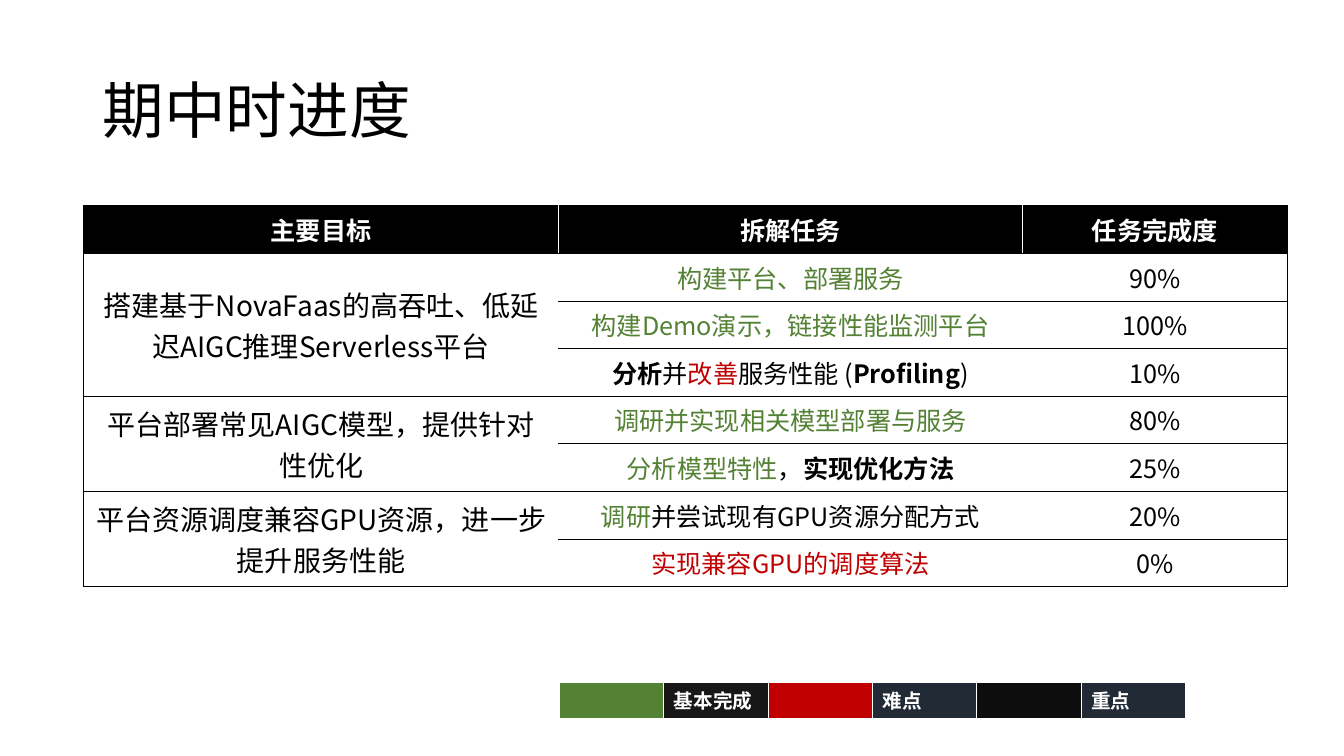
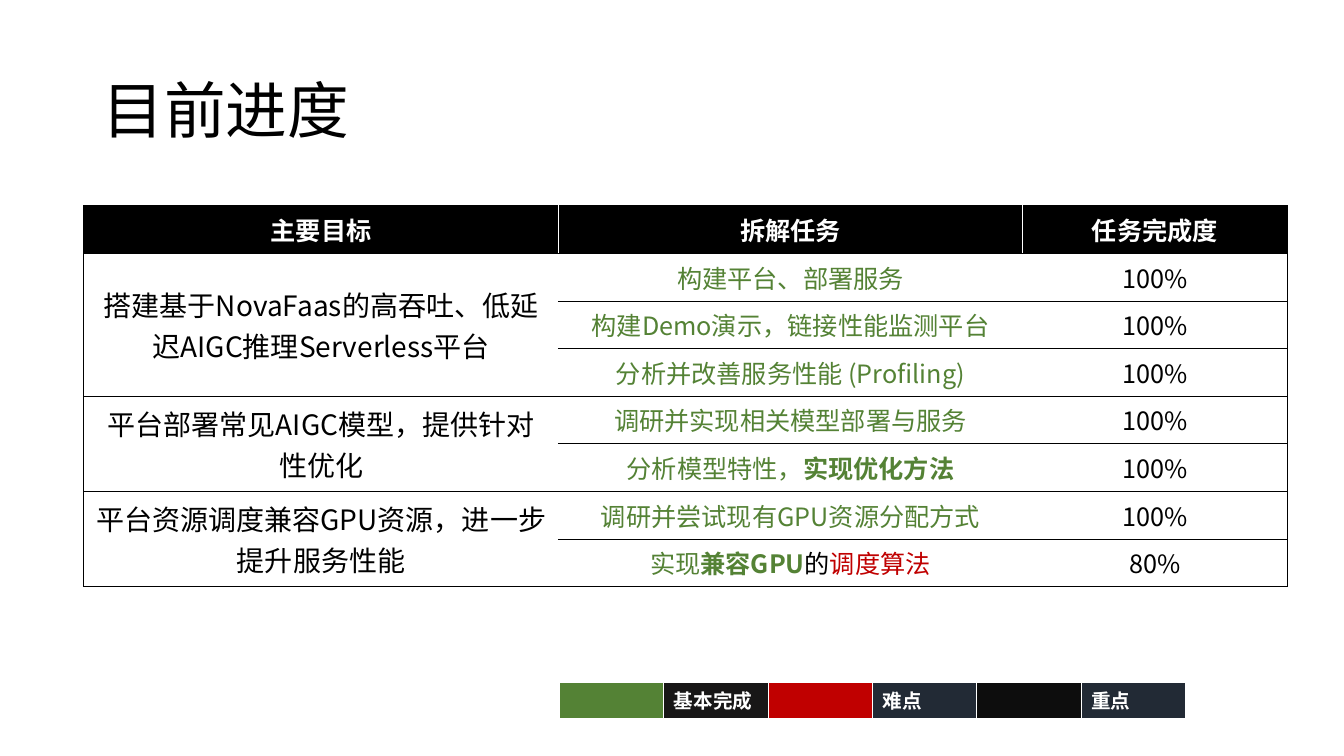
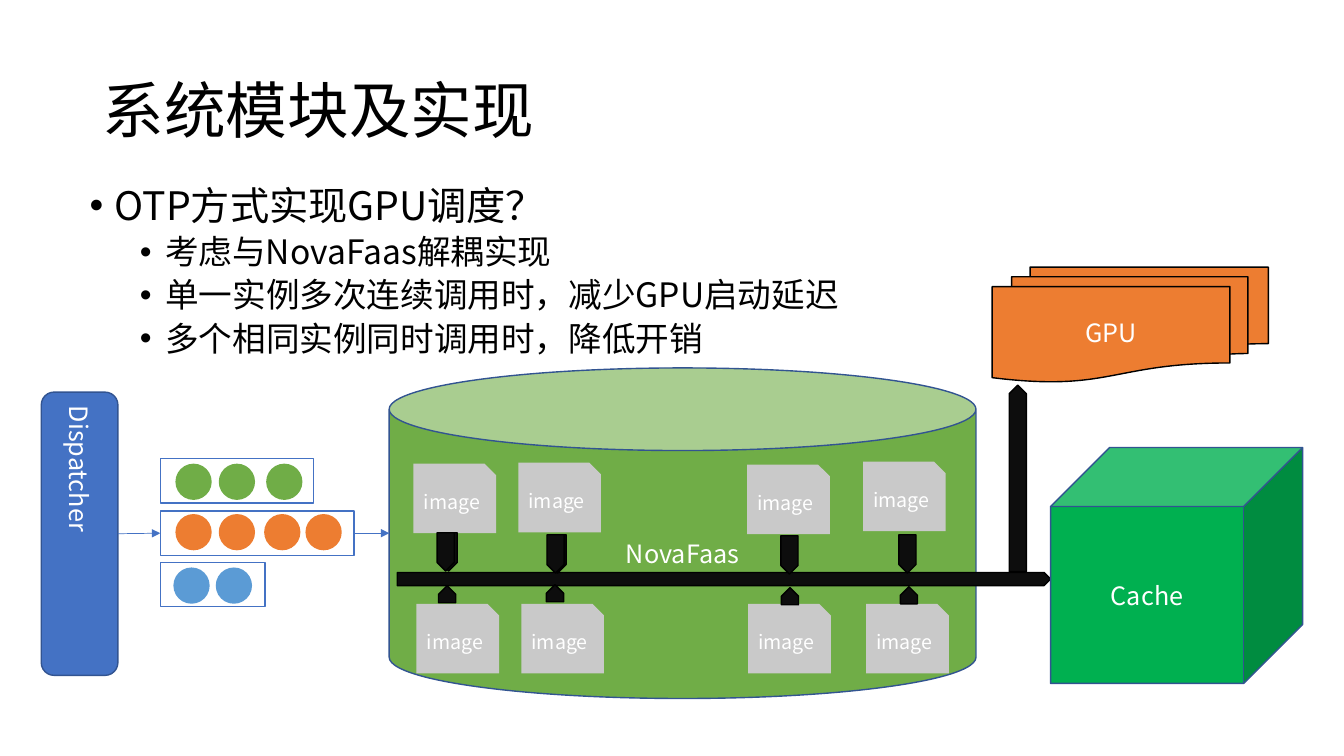
from dataclasses import dataclass
from typing import NamedTuple, Optional

import lxml.etree
import pptx
import pptx.dml.color
import pptx.enum.shapes
import pptx.enum.text
import pptx.oxml.ns
import pptx.util

Inches = pptx.util.Inches
Pt = pptx.util.Pt
RGBColor = pptx.dml.color.RGBColor
Shape = pptx.enum.shapes.MSO_SHAPE
Align = pptx.enum.text.PP_ALIGN
Anchor = pptx.enum.text.MSO_ANCHOR
qn = pptx.oxml.ns.qn

FONT = "Noto Sans CJK SC"
BLACK = RGBColor(0x00, 0x00, 0x00)
WHITE = RGBColor(0xFF, 0xFF, 0xFF)
DONE_GREEN = RGBColor(0x54, 0x82, 0x35)
HARD_RED = RGBColor(0xC0, 0x00, 0x00)
KEY_BLACK = RGBColor(0x0D, 0x0D, 0x0D)
LABEL_BLACK = RGBColor(0x18, 0x17, 0x17)
LABEL_NAVY = RGBColor(0x22, 0x2A, 0x35)
BLUE = RGBColor(0x44, 0x72, 0xC4)
OUTLINE_BLUE = RGBColor(0x32, 0x54, 0x91)
GREEN = RGBColor(0x70, 0xAD, 0x47)
ORANGE = RGBColor(0xED, 0x7D, 0x31)
LIGHT_BLUE = RGBColor(0x5B, 0x9B, 0xD5)
GRAY = RGBColor(0xC9, 0xC9, 0xC9)
CUBE_GREEN = RGBColor(0x00, 0xB0, 0x50)


class Box(NamedTuple):
    left: float
    top: float
    width: float
    height: float


class Words(NamedTuple):
    text: str
    color: RGBColor = DONE_GREEN
    bold: bool = False


@dataclass(frozen=True)
class Task:
    words: tuple[Words, ...]
    progress: str


@dataclass(frozen=True)
class Goal:
    text: str
    task_count: int


@dataclass(frozen=True)
class Queue:
    top: float
    width: float
    color: RGBColor
    request_top: float
    request_lefts: tuple[float, ...]


@dataclass(frozen=True)
class ReplicaPair:
    upper_left: float
    upper_top: float
    lower_left: float
    down_lefts: tuple[float, ...]
    down_top: float
    up_left: float
    up_top: float


HEADINGS = ("主要目标", "拆解任务", "任务完成度")
COLUMN_WIDTHS = (4.71, 4.6, 2.63)
ROW_HEIGHT = 3.78 / 8
GOALS = (
    Goal("搭建基于NovaFaas的高吞吐、低延迟AIGC推理Serverless平台", 3),
    Goal("平台部署常见AIGC模型，提供针对性优化", 2),
    Goal("平台资源调度兼容GPU资源，进一步提升服务性能", 2),
)
BUILD = (Words("构建平台、部署服务"),)
DEMO = (Words("构建Demo演示，链接性能监测平台"),)
DEPLOY = (Words("调研并实现相关模型部署与服务"),)
MIDTERM = (
    Task(BUILD, "90%"),
    Task(DEMO, "100%"),
    Task((Words("分析", BLACK, True), Words("并", BLACK), Words("改善", HARD_RED),
          Words("服务性能 (", BLACK), Words("Profiling", BLACK, True),
          Words(")", BLACK)), "10%"),
    Task(DEPLOY, "80%"),
    Task((Words("分析模型特性"), Words("，", BLACK),
          Words("实现优化方法", BLACK, True)), "25%"),
    Task((Words("调研"), Words("并尝试现有GPU资源分配方式", BLACK)), "20%"),
    Task((Words("实现兼容GPU的调度算法", HARD_RED),), "0%"),
)
CURRENT = (
    Task(BUILD, "100%"),
    Task(DEMO, "100%"),
    Task((Words("分析并改善服务性能 (Profiling)"),), "100%"),
    Task(DEPLOY, "100%"),
    Task((Words("分析模型特性，"), Words("实现优化方法", bold=True)), "100%"),
    Task((Words("调研并尝试现有GPU资源分配方式"),), "100%"),
    Task((Words("实现"), Words("兼容GPU", bold=True), Words("的", BLACK),
          Words("调度算法", HARD_RED)), "80%"),
)
LEGEND = (
    (DONE_GREEN, ""), (LABEL_BLACK, "基本完成"),
    (HARD_RED, ""), (LABEL_NAVY, "难点"),
    (KEY_BLACK, ""), (LABEL_NAVY, "重点"),
)
POINTS = (
    (0, "OTP方式实现GPU调度？"),
    (1, "考虑与NovaFaas解耦实现"),
    (1, "单一实例多次连续调用时，减少GPU启动延迟"),
    (1, "多个相同实例同时调用时，降低开销"),
)
QUEUE_LEFT = 1.59
QUEUE_HEIGHT = 0.44
REQUEST_SIZE = 0.36
QUEUES = (
    Queue(4.55, 1.52, GREEN, 4.6, (1.74, 2.17, 2.64)),
    Queue(5.07, 1.92, ORANGE, 5.1, (1.74, 2.17, 2.62, 3.03)),
    Queue(5.58, 1.04, LIGHT_BLUE, 5.63, (1.72, 2.14)),
)
REPLICA_PAIRS = (
    ReplicaPair(4.1, 4.6, 4.13, (4.26, 4.23), 5.39, 4.35, 5.81),
    ReplicaPair(5.14, 4.59, 5.17, (5.34, 5.32), 5.41, 5.42, 5.8),
    ReplicaPair(7.41, 4.61, 7.42, (7.64,), 5.42, 7.75, 5.83),
    ReplicaPair(8.56, 4.58, 8.59, (8.81,), 5.41, 8.93, 5.82),
)


def inches(box: Box) -> list[int]:
    return [Inches(length) for length in box]


def add_words(paragraph, words: Words, size: float) -> None:
    run = paragraph.add_run()
    run.text = words.text
    run.font.size = Pt(size)
    run.font.bold = words.bold
    run.font.color.rgb = words.color
    run.font.name = FONT
    lxml.etree.SubElement(run.font._element, qn("a:ea"), typeface=FONT)


def add_titled_slide(deck, title: str):
    slide = deck.slides.add_slide(deck.slide_layouts[6])
    frame = slide.shapes.add_textbox(*inches(Box(0.92, 0.4, 11.5, 1.45))).text_frame
    frame.word_wrap = True
    frame.vertical_anchor = Anchor.MIDDLE
    frame.paragraphs[0].line_spacing = 0.9
    add_words(frame.paragraphs[0], Words(title, BLACK), 44)
    return slide


def set_borders(cell, sides: str, color: RGBColor, width: float) -> None:
    properties = cell._tc.get_or_add_tcPr()
    for position, side in enumerate(sides):
        border = lxml.etree.Element(qn(f"a:ln{side}"), w=str(Pt(width)))
        fill = lxml.etree.SubElement(border, qn("a:solidFill"))
        lxml.etree.SubElement(fill, qn("a:srgbClr"), val=str(color))
        properties.insert(position, border)


def fill_cell(cell, color: RGBColor) -> None:
    cell.fill.solid()
    cell.fill.fore_color.rgb = color


def write_centred(cell, size: float, *words: Words) -> None:
    paragraph = cell.text_frame.paragraphs[0]
    paragraph.alignment = Align.CENTER
    for part in words:
        add_words(paragraph, part, size)


def add_plain_table(slide, rows: int, columns: int, box: Box):
    table = slide.shapes.add_table(rows, columns, *inches(box)).table
    table.first_row = False
    table.horz_banding = False
    return table


def add_progress_table(slide, tasks: tuple[Task, ...]) -> None:
    row_count = len(tasks) + 1
    table = add_plain_table(slide, row_count, len(HEADINGS),
                            Box(0.83, 2.04, sum(COLUMN_WIDTHS), row_count * ROW_HEIGHT))
    for column, width in zip(table.columns, COLUMN_WIDTHS):
        column.width = Inches(width)
    for row_index, row in enumerate(table.rows):
        row.height = Inches(ROW_HEIGHT)
        for column_index, cell in enumerate(row.cells):
            fill_cell(cell, WHITE if row_index else BLACK)
            cell.vertical_anchor = Anchor.MIDDLE
            if column_index:
                set_borders(cell, "RTB", BLACK, 0.5)
            else:
                set_borders(cell, "LRTB", BLACK, 1)
    for column_index, heading in enumerate(HEADINGS):
        write_centred(table.cell(0, column_index), 18, Words(heading, WHITE, True))
    for row_index, task in enumerate(tasks, 1):
        write_centred(table.cell(row_index, 1), 18, *task.words)
        write_centred(table.cell(row_index, 2), 18, Words(task.progress, BLACK))
    first_row = 1
    for goal in GOALS:
        goal_cell = table.cell(first_row, 0)
        goal_cell.merge(table.cell(first_row + goal.task_count - 1, 0))
        write_centred(goal_cell, 20, Words(goal.text, BLACK))
        first_row += goal.task_count


def add_legend(slide) -> None:
    table = add_plain_table(slide, 1, len(LEGEND), Box(5.55, 6.77, 6.21, 0.36))
    for cell, (color, label) in zip(table.rows[0].cells, LEGEND):
        fill_cell(cell, color)
        set_borders(cell, "LRTB", WHITE, 1)
        cell.margin_top = cell.margin_bottom = Inches(0.03)
        paragraph = cell.text_frame.paragraphs[0]
        if label:
            add_words(paragraph, Words(label, WHITE, True), 14)
        else:
            lxml.etree.SubElement(paragraph._p, qn("a:endParaRPr"), sz="1400")


def add_progress_slide(deck, title: str, tasks: tuple[Task, ...]) -> None:
    slide = add_titled_slide(deck, title)
    add_progress_table(slide, tasks)
    add_legend(slide)


def add_part(slide, kind, box: Box, fill: Optional[RGBColor],
             outline: Optional[RGBColor] = None, label: str = "",
             size: float = 18, rotation: float = 0):
    part = slide.shapes.add_shape(kind, *inches(box))
    part.shadow.inherit = False
    part.rotation = rotation
    if fill is None:
        part.fill.background()
    else:
        part.fill.solid()
        part.fill.fore_color.rgb = fill
    if outline is None:
        part.line.fill.background()
    else:
        part.line.color.rgb = outline
        part.line.width = Pt(1)
    if label:
        part.text_frame.vertical_anchor = Anchor.MIDDLE
        part.text_frame.paragraphs[0].alignment = Align.CENTER
        add_words(part.text_frame.paragraphs[0], Words(label, WHITE), size)
    return part


def add_bus(slide, box: Box, rotation: float = 0) -> None:
    add_part(slide, Shape.PENTAGON, box, KEY_BLACK, BLACK, rotation=rotation)


def add_flow(slide, start: tuple[float, float], end: tuple[float, float]):
    flow = slide.shapes.add_connector(
        pptx.enum.shapes.MSO_CONNECTOR.STRAIGHT,
        *[Inches(length) for length in (*start, *end)])
    flow.line.color.rgb = BLUE
    flow.line.width = Pt(0.5)
    lxml.etree.SubElement(flow.line._get_or_add_ln(), qn("a:tailEnd"), type="triangle")
    lxml.etree.SubElement(flow._element.spPr, qn("a:effectLst"))
    return flow


def add_points(slide) -> None:
    frame = slide.shapes.add_textbox(*inches(Box(0.79, 1.8, 11.5, 4.76))).text_frame
    frame.word_wrap = True
    for index, (level, text) in enumerate(POINTS):
        paragraph = frame.add_paragraph() if index else frame.paragraphs[0]
        paragraph.level = level
        paragraph.line_spacing = 0.9
        paragraph.space_before = Pt(5 if level else 10)
        properties = paragraph._p.get_or_add_pPr()
        properties.set("marL", str(Inches(0.25 + 0.5 * level)))
        properties.set("indent", str(Inches(-0.25)))
        lxml.etree.SubElement(properties, qn("a:buFont"), typeface="Arial")
        lxml.etree.SubElement(properties, qn("a:buChar"), char="•")
        add_words(paragraph, Words(text, BLACK), 24 if level else 28)


def add_queue(slide, queue: Queue):
    for left in queue.request_lefts:
        add_part(slide, Shape.OVAL,
                 Box(left, queue.request_top, REQUEST_SIZE, REQUEST_SIZE), queue.color)
    return add_part(slide, Shape.RECTANGLE,
                    Box(QUEUE_LEFT, queue.top, queue.width, QUEUE_HEIGHT), None, BLUE)


def add_replica_pair(slide, pair: ReplicaPair) -> None:
    for left, top in ((pair.upper_left, pair.upper_top), (pair.lower_left, 5.99)):
        add_part(slide, Shape.SNIP_1_RECTANGLE, Box(left, top, 0.82, 0.69),
                 GRAY, label="image", size=14)
    for left in pair.down_lefts:
        add_bus(slide, Box(left, pair.down_top, 0.38, 0.17), 90)
    add_bus(slide, Box(pair.up_left, pair.up_top, 0.17, 0.17), 270)


def add_system_slide(deck) -> None:
    slide = add_titled_slide(deck, "系统模块及实现")
    add_points(slide)
    dispatcher = add_part(slide, Shape.ROUNDED_RECTANGLE, Box(0.41, 3.89, 0.76, 2.81),
                          BLUE, OUTLINE_BLUE, "Dispatcher")
    dispatcher.text_frame._txBody.bodyPr.set("vert", "eaVert")
    add_part(slide, Shape.CAN, Box(3.86, 3.65, 5.82, 3.28), GREEN, OUTLINE_BLUE, "NovaFaas")
    queues = [add_queue(slide, queue) for queue in QUEUES]
    incoming = add_flow(slide, (1.17, 5.3), (QUEUE_LEFT, 5.3))
    incoming.begin_connect(dispatcher, 3)
    incoming.end_connect(queues[1], 1)
    outgoing = add_flow(slide, (3.51, 5.29), (3.86, 5.29))
    outgoing.begin_connect(queues[1], 3)
    add_bus(slide, Box(3.94, 5.68, 6.48, 0.13))
    for pair in REPLICA_PAIRS:
        add_replica_pair(slide, pair)
    add_part(slide, Shape.CUBE, Box(10.42, 4.44, 2.5, 2.34), CUBE_GREEN, OUTLINE_BLUE, "Cache")
    add_part(slide, Shape.FLOWCHART_MULTIDOCUMENT, Box(9.84, 2.65, 2.74, 1.14),
             ORANGE, BLACK, "GPU")
    add_bus(slide, Box(9.17, 4.66, 1.85, 0.17), 270)


def main() -> None:
    deck = pptx.Presentation()
    deck.slide_width = Inches(13.33)
    deck.slide_height = Inches(7.5)
    add_progress_slide(deck, "期中时进度", MIDTERM)
    add_progress_slide(deck, "目前进度", CURRENT)
    add_system_slide(deck)
    deck.save("out.pptx")


if __name__ == "__main__":
    main()
